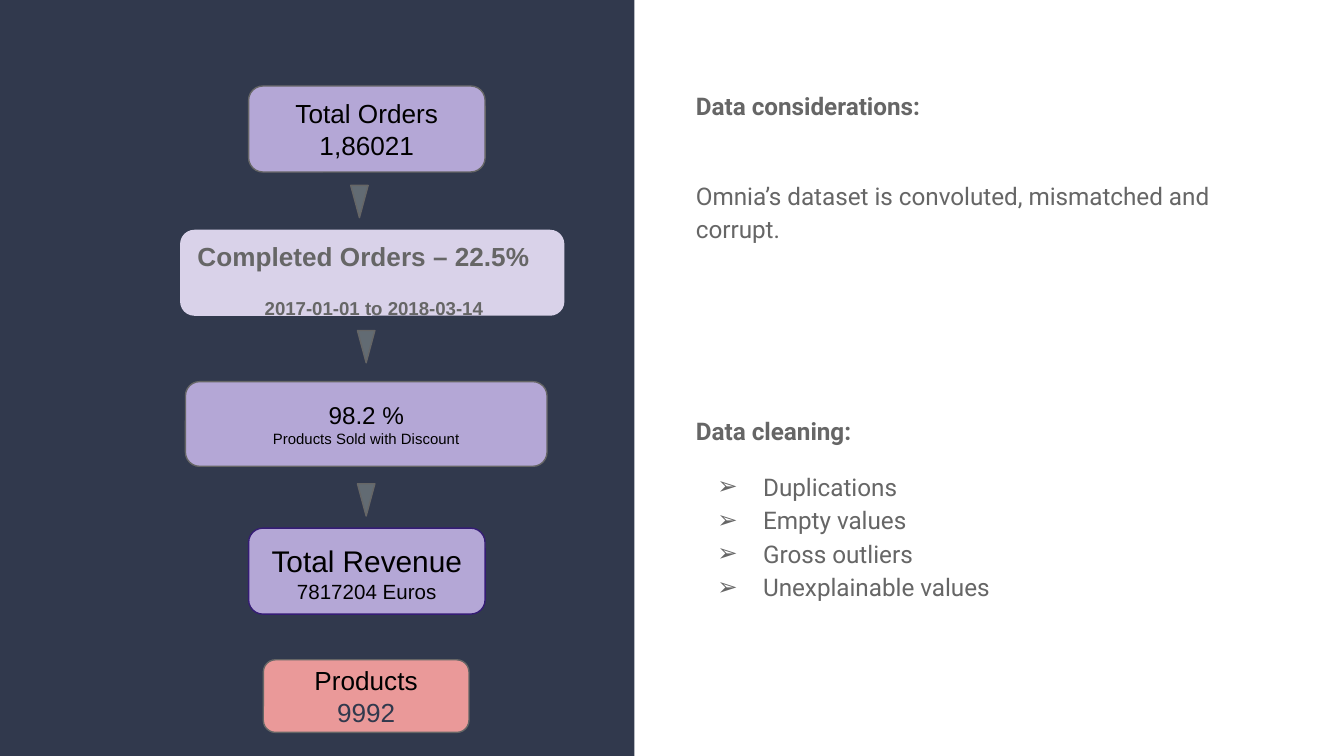
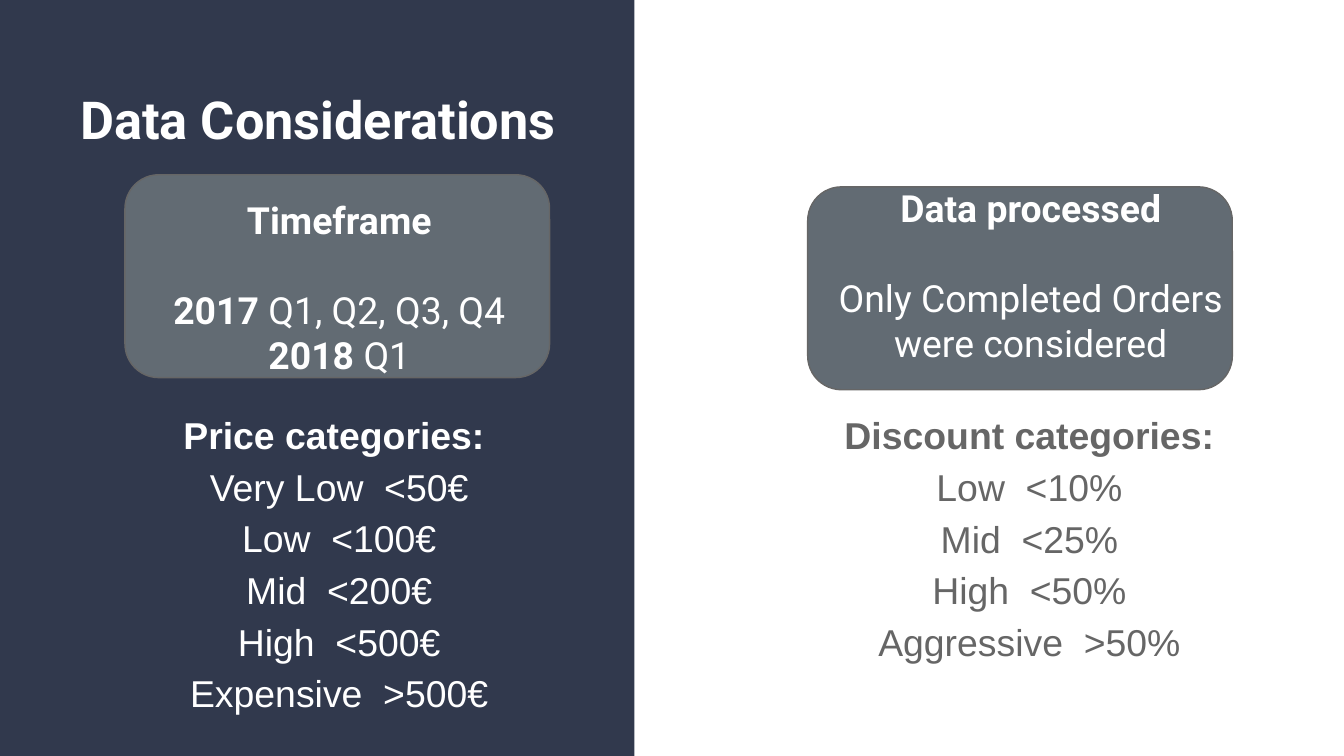
"""Build two slides on order data: the sales funnel and the data considerations."""
from dataclasses import dataclass
from lxml.etree import SubElement
from pptx import Presentation
from pptx.dml.color import RGBColor
from pptx.enum.shapes import MSO_SHAPE as Shape
from pptx.enum.text import MSO_ANCHOR as Anchor, PP_ALIGN as Align
from pptx.oxml.ns import qn
from pptx.util import Inches, Pt


@dataclass(frozen=True)
class Theme:
    """Colours, fonts and type sizes."""
    navy: str = "31394D"
    slate: str = "626B73"
    grey: str = "666666"
    white: str = "FFFFFF"
    black: str = "000000"
    lilac: str = "B4A7D6"
    pale: str = "D9D2E9"
    rose: str = "EA9999"
    plum: str = "351C75"
    sans: str = "Arial"
    head: str = "Roboto"
    title: int = 28
    large: int = 20
    big: int = 16
    mid: int = 14
    body: int = 13
    sub: int = 11
    small: int = 10
    tiny: int = 8


T = Theme()
WIDE = Inches(10)
HIGH = WIDE * 9 // 16
CENTER = {"alignment": Align.CENTER}
LOOSE = {"line_spacing": 1.15}

FUNNEL = [
    {"at": (1.85, 0.64, 1.76, 0.64), "fill": T.lilac, "line": T.grey,
     "text": [("Total Orders", {"size": T.mid}), ("1,86021", {"size": T.mid})]},
    {"at": (1.38, 2.84, 2.69, 0.63), "fill": T.lilac, "line": T.grey,
     "text": [("98.2 %", {"size": T.body}),
              ("Products Sold with Discount", {"size": T.tiny})]},
    {"at": (1.85, 3.93, 1.76, 0.64), "fill": T.lilac, "line": T.plum, "top": 0.08,
     "text": [("Total Revenue", {"size": T.big}),
              ("7817204 Euros", {"size": T.sub})]},
    {"at": (1.96, 4.91, 1.53, 0.54), "fill": T.rose, "line": T.grey,
     "text": [("Products", {"size": T.mid}),
              ("9992", {"size": T.mid, "ink": T.navy})]},
]
DONE = {"at": (1.34, 1.71, 2.86, 0.64), "fill": T.pale,
        "text": [("Completed Orders – 22.5%", {"size": T.mid}),
                 ("2017-01-01 to 2018-03-14",
                  {"size": T.small, "space_before": Pt(12), "left": 0.5})]}
ARROWS = [(2.61, 1.38), (2.66, 2.46), (2.66, 3.6)]

NOTES = [
    ("Data considerations:", {"bold": True}),
    ("Omnia’s dataset is convoluted, mismatched and corrupt.",
     {"space_before": Pt(30)}),
    ("Data cleaning:", {"bold": True, "space_before": Pt(90)}),
]
FAULTS = ["Duplications", "Empty values", "Gross outliers", "Unexplainable values"]

CARDS = [
    {"at": (0.93, 1.3), "box": (1.09, 1.37, 2.87, 1.55),
     "text": [("Timeframe", {"bold": True}),
              ([("2017", True), (" Q1, Q2, Q3, Q4", False)],
               {"space_before": Pt(24)}),
              ([("2018", True), (" Q1", False)], {})]},
    {"at": (6.01, 1.39), "box": (6.01, 1.28, 3.32, 1.55),
     "text": [("Data processed", {"bold": True}),
              ("Only Completed Orders were considered",
               {"space_before": Pt(24)})]},
]
GROUPS = [
    {"box": (1.06, 2.92, 2.93, 2.24), "ink": T.white, "name": "Price categories: ",
     "rows": [("Very Low", "<50€"), ("Low", "<100€"), ("Mid", "<200€"),
              ("High", "<500€"), ("Expensive", ">500€")]},
    {"box": (5.92, 2.92, 3.48, 2.85), "ink": T.grey, "name": "Discount categories:",
     "rows": [("Low", "<10%"), ("Mid", "<25%"), ("High", "<50%"),
              ("Aggressive", ">50%")]},
]


def inches(nums):
    """Turn plain numbers into lengths."""
    return [Inches(n) for n in nums]


def apply(obj, props):
    """Set each named attribute on an object."""
    for key, val in props.items():
        setattr(obj, key, val)


def indent(para, left, hang=0, mark=None):
    """Set a left indent, and a hanging bullet if a mark is given."""
    props = para._p.get_or_add_pPr()
    props.set("marL", str(Inches(left)))
    props.set("indent", str(Inches(hang)))
    if mark:
        SubElement(props, qn("a:buFont")).set("typeface", T.head)
        SubElement(props, qn("a:buChar")).set("char", mark)


def write(frame, items, base, anchor=Anchor.TOP, top=0.1, foot=0.1):
    """Fill a text frame from (text or runs, format) items."""
    apply(frame, {"word_wrap": True, "vertical_anchor": anchor,
                  "margin_left": Inches(0.1), "margin_right": Inches(0.1),
                  "margin_top": Inches(top), "margin_bottom": Inches(foot)})
    for num, (runs, extra) in enumerate(items):
        para = frame.add_paragraph() if num else frame.paragraphs[0]
        look = {"bold": False, **base, **extra}
        apply(para, {key: look[key] for key in
                     ("alignment", "line_spacing", "space_before") if key in look})
        if "left" in look:
            indent(para, look["left"], look.get("hang", 0), look.get("mark"))
        if isinstance(runs, str):
            runs = [(runs, look["bold"])]
        for text, bold in runs:
            run = para.add_run()
            run.text = text
            apply(run.font, {"name": look["face"], "size": Pt(look["size"]),
                             "bold": bold})
            run.font.color.rgb = RGBColor.from_string(look["ink"])


def draw(slide, kind, at, fill, line=None):
    """Add a flat preset shape."""
    shape = slide.shapes.add_shape(kind, *inches(at))
    shape.shadow.inherit = False
    shape.fill.solid()
    shape.fill.fore_color.rgb = RGBColor.from_string(fill)
    if line:
        shape.line.color.rgb = RGBColor.from_string(line)
        shape.line.width = Pt(0.75)
    else:
        shape.line.fill.background()
    return shape


def box(slide, at, items, base):
    """Add a wrapped text box."""
    write(slide.shapes.add_textbox(*inches(at)).text_frame, items, base)


def start(deck, index):
    """Add a slide with the navy panel behind everything."""
    slide = deck.slides.add_slide(deck.slide_layouts[index])
    panel = draw(slide, Shape.RECTANGLE, (0, 0, 4.72, 5.62), T.navy)
    panel.height = HIGH
    slide.shapes._spTree.insert(2, panel._element)
    return slide


def funnel(deck):
    """Build the order funnel beside the cleaning notes."""
    slide = start(deck, 6)
    bullet = {"left": 0.5, "hang": -0.34, "mark": "➢"}
    faults = [(text, {**bullet, "space_before": Pt(0 if num else 12)})
              for num, text in enumerate(FAULTS)]
    box(slide, (5.08, 0.55, 4.56, 4.86), NOTES + faults,
        {"face": T.head, "size": T.body, "ink": T.grey, **LOOSE})
    for step in FUNNEL:
        shape = draw(slide, Shape.ROUNDED_RECTANGLE,
                     step["at"], step["fill"], step["line"])
        write(shape.text_frame, step["text"],
              {"face": T.sans, "ink": T.black, **CENTER},
              Anchor.MIDDLE, step.get("top", 0.05), 0.05)
    done = draw(slide, Shape.ROUNDED_RECTANGLE, DONE["at"], DONE["fill"])
    write(done.text_frame, DONE["text"],
          {"face": T.sans, "ink": T.grey, "bold": True,
           "alignment": Align.LEFT, **LOOSE}, top=0.01, foot=0)
    for spot in ARROWS:
        arrow = draw(slide, Shape.DOWN_ARROW, (*spot, 0.13, 0.24), T.slate, T.grey)
        arrow.adjustments[1] = 1.86


def limits(deck):
    """Build the considerations, with cards and category lists."""
    slide = start(deck, 5)
    title = slide.shapes.title
    apply(title, dict(zip(("left", "top", "width", "height"),
                          inches((0.34, 0.55, 4.05, 2.74)))))
    write(title.text_frame, [("Data Considerations", {"bold": True})],
          {"face": T.head, "size": T.title, "ink": T.white, **CENTER})
    for group in GROUPS:
        rows = [("  ".join(row), {}) for row in group["rows"]]
        box(slide, group["box"], [(group["name"], {"bold": True})] + rows,
            {"face": T.sans, "size": T.large, "ink": group["ink"],
             **CENTER, **LOOSE})
    for card in CARDS:
        draw(slide, Shape.ROUNDED_RECTANGLE, (*card["at"], 3.16, 1.51),
             T.slate, T.grey)
        box(slide, card["box"], card["text"],
            {"face": T.head, "size": T.large, "ink": T.white, **CENTER})


def main():
    """Build and save the deck."""
    deck = Presentation()
    apply(deck, {"slide_width": WIDE, "slide_height": HIGH})
    funnel(deck)
    limits(deck)
    deck.save("out.pptx")


if __name__ == "__main__":
    main()
